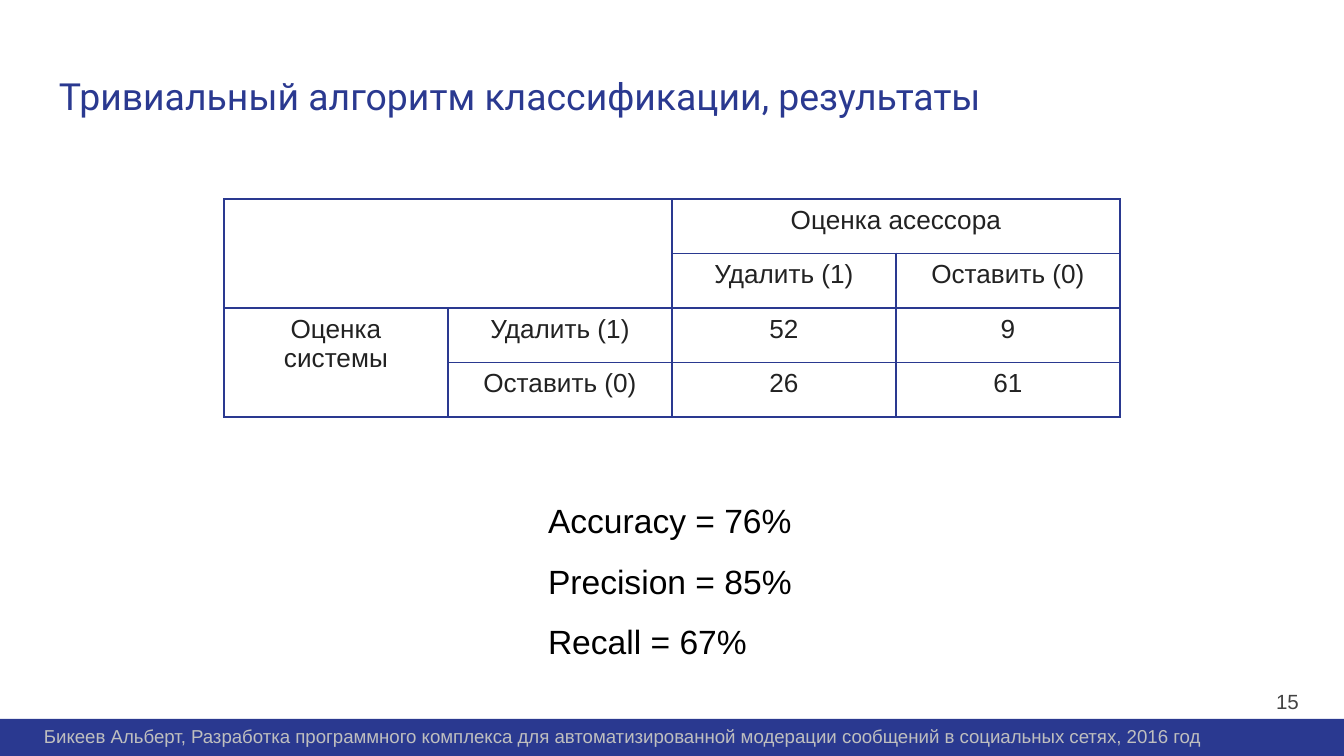
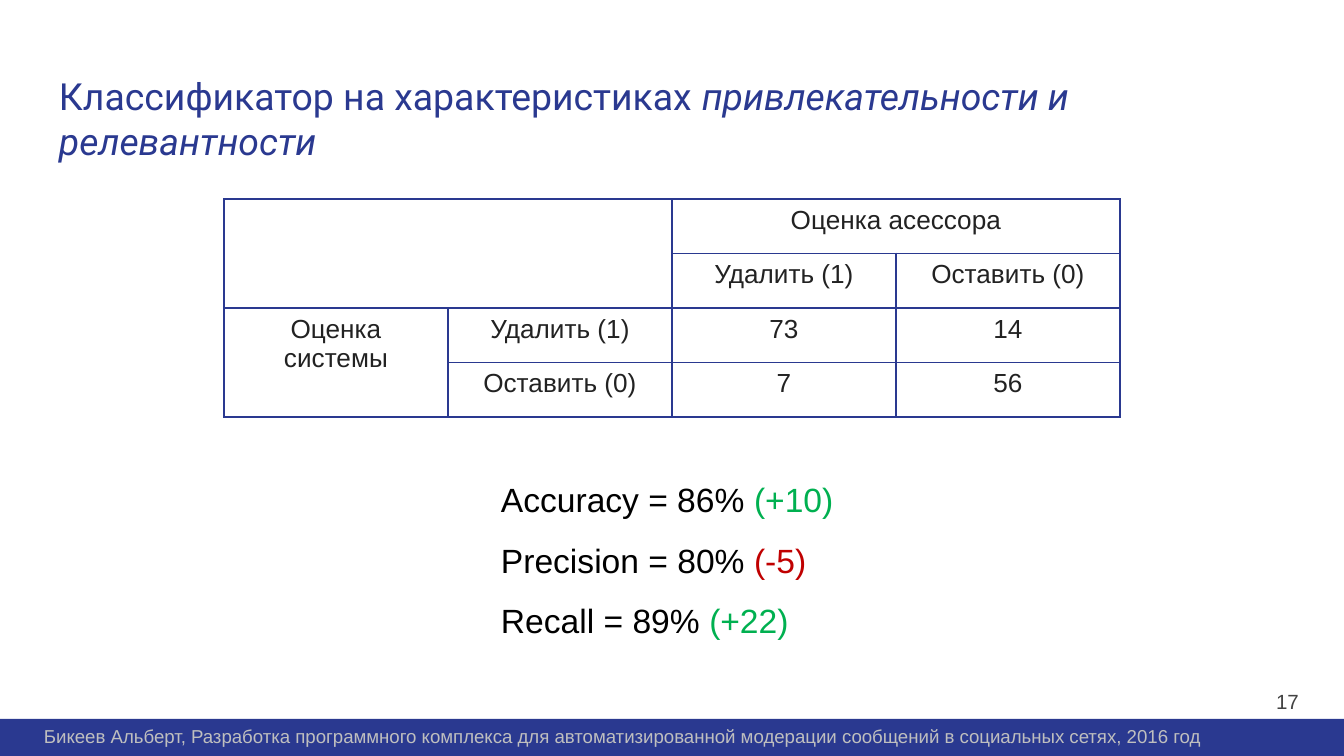
from lxml import etree
from pptx import Presentation
from pptx import util as u
from pptx.dml.color import RGBColor
from pptx.enum import shapes, text
from pptx.oxml import ns

PX = 914400 / 134.4  # EMU in one px

NAVY = RGBColor(0x2A, 0x39, 0x90)
WHITE = RGBColor(0xFF, 0xFF, 0xFF)
BLACK = RGBColor(0x00, 0x00, 0x00)
CELL_TEXT = RGBColor(0x22, 0x22, 0x22)
FOOTER_TEXT = RGBColor(0xBF, 0xBF, 0xBF)
NUMBER_TEXT = RGBColor(0x43, 0x43, 0x43)
GREEN = RGBColor(0x00, 0xB0, 0x50)
RED = RGBColor(0xC0, 0x00, 0x00)

FOOTER = ("Бикеев Альберт, Разработка программного комплекса для автоматизированной "
          "модерации сообщений в социальных сетях, 2016 год")

# Title (plain, italic), page number, the four counts, place of the metrics, metrics
RESULTS = [
    (("Тривиальный алгоритм классификации, результаты", ""), "15",
     (("52", "9"), ("26", "61")), (535, 473, 273, 196),
     [("Accuracy = 76%", "", BLACK), ("Precision = 85%", "", BLACK),
      ("Recall = 67%", "", BLACK)]),
    (("Классификатор на характеристиках ", "привлекательности и релевантности"), "17",
     (("73", "14"), ("7", "56")), (488, 452, 376, 196),
     [("Accuracy = 86% ", "(+10)", GREEN), ("Precision = 80% ", "(-5)", RED),
      ("Recall = 89% ", "(+22)", GREEN)]),
]


def px(*lengths):
    return [u.Emu(round(length * PX)) for length in lengths]


def add_text(page, place, lines, size, color, font="Arial", wrap=True, inset=13):
    """Add a text box; each line is a list of run texts. Return its frame."""
    frame = page.shapes.add_textbox(*px(*place)).text_frame
    frame.word_wrap = wrap
    frame.margin_left, frame.margin_right = px(13, 13)
    frame.margin_top, frame.margin_bottom = px(inset, inset)
    for index, line in enumerate(lines):
        para = frame.add_paragraph() if index else frame.paragraphs[0]
        para.font.name, para.font.size = font, u.Pt(size)
        para.font.color.rgb = color
        for part in filter(None, line):
            para.add_run().text = part
    return frame


deck = Presentation()
deck.slide_width, deck.slide_height = px(1344, 756)

for title, number, counts, metrics_place, metrics in RESULTS:
    page = deck.slides.add_slide(deck.slide_layouts[6])
    page.background.fill.solid()
    page.background.fill.fore_color.rgb = WHITE

    # Title, its second run in italics
    frame = add_text(page, (46, 60, 1253, 89), [title], 20, NAVY, "Roboto")
    for span in frame.paragraphs[0].runs[1:]:
        span.font.italic = True

    # Footer band, page number and footer text
    band = page.shapes.add_shape(shapes.MSO_SHAPE.RECTANGLE, *px(-1, 719, 1345, 37))
    band.shadow.inherit = False
    band.fill.solid()
    band.fill.fore_color.rgb = NAVY
    band.line.fill.background()
    frame = add_text(page, (1263, 672, 81, 58), [[number]], 11, NUMBER_TEXT)
    frame.vertical_anchor = text.MSO_ANCHOR.MIDDLE
    add_text(page, (31, 718, 1202, 36), [[FOOTER]], 10, FOOTER_TEXT, wrap=False, inset=7)

    # Confusion matrix
    rows = [
        ("", "", "Оценка асессора", ""),
        ("", "", "Удалить (1)", "Оставить (0)"),
        ("Оценка системы", "Удалить (1)", *counts[0]),
        ("", "Оставить (0)", *counts[1]),
    ]
    table = page.shapes.add_table(4, 4, *px(224, 199, 896, 218)).table
    table.first_row = table.horz_banding = False
    for row, words in enumerate(rows):
        for column, word in enumerate(words):
            cell = table.cell(row, column)
            cell.text = word
            para = cell.text_frame.paragraphs[0]
            para.alignment = text.PP_ALIGN.CENTER
            para.font.name, para.font.size = "Arial", u.Pt(14)
            para.font.color.rgb = CELL_TEXT
            properties = cell._tc.get_or_add_tcPr()
            for side in ("a:lnL", "a:lnR", "a:lnT", "a:lnB"):
                line = etree.SubElement(properties, ns.qn(side), w=str(u.Pt(1)))
                fill = etree.SubElement(line, ns.qn("a:solidFill"))
                etree.SubElement(fill, ns.qn("a:srgbClr"), val=str(NAVY))
            cell.fill.background()
    for first, last in [((0, 0), (1, 1)), ((0, 2), (0, 3)), ((2, 0), (3, 0))]:
        table.cell(*first).merge(table.cell(*last))

    # Metrics, with the change against the trivial algorithm
    frame = add_text(page, metrics_place, [metric[:2] for metric in metrics],
                     18, BLACK, wrap=False, inset=7)
    for para, (_, _, color) in zip(frame.paragraphs, metrics):
        para.line_spacing = 1.5
        for span in para.runs[1:]:
            span.font.color.rgb = color

deck.save("out.pptx")
